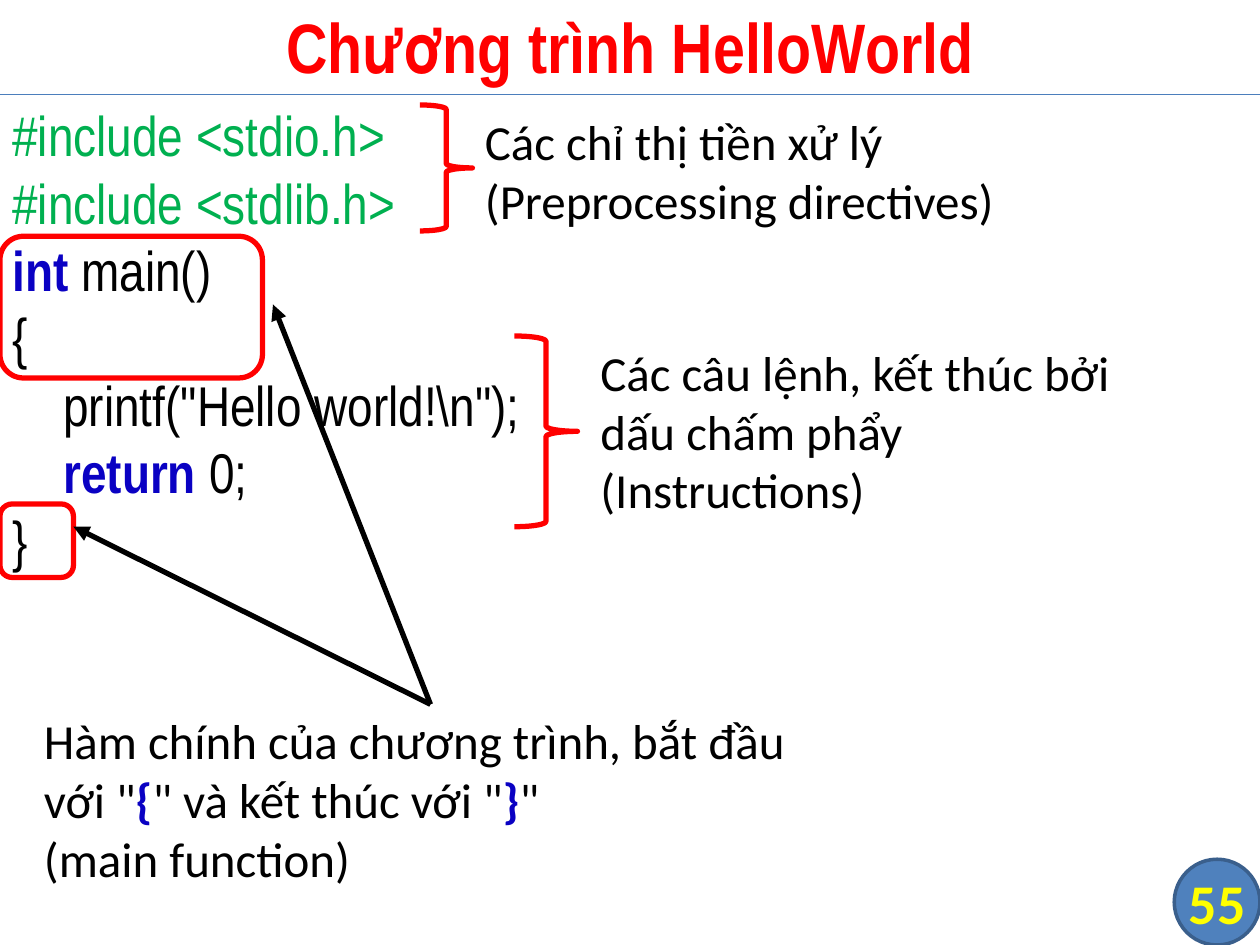
import pptx
import pptx.util
import pptx.dml.color
import pptx.enum.shapes
import pptx.enum.text
import pptx.oxml.ns
import lxml.etree

Pt = pptx.util.Pt
SHAPES = pptx.enum.shapes.MSO_SHAPE
CENTER = pptx.enum.text.PP_ALIGN.CENTER
MIDDLE = pptx.enum.text.MSO_ANCHOR.MIDDLE

COLORS = {
    "title": "FF0000",
    "mark": "FF0000",
    "directive": "00B050",
    "keyword": "0A01C3",
    "text": "000000",
    "rule": "4B7EBC",
    "badge": "4F81BD",
    "badge_edge": "3A5F8C",
    "page": "FFFF00",
}

CODE = [
    (0, [("#include <stdio.h>", "directive")]),
    (0, [("#include <stdlib.h>", "directive")]),
    (0, [("int ", "keyword"), ("main()", "text")]),
    (0, [("{", "text")]),
    (29.2, [('printf("Hello world!\\n");', "text")]),
    (29.2, [("return", "keyword"), (" 0;", "text")]),
    (0, [("}", "text")]),
]

NOTES = [
    ((270, 60, 342, 75), [
        [("Các chỉ thị tiền xử lý", "text")],
        [("(Preprocessing directives)", "text")],
    ]),
    ((336, 192, 342, 109), [
        [("Các câu lệnh, kết thúc bởi dấu chấm phẩy", "text")],
        [("(Instructions)", "text")],
    ]),
    ((18, 402.5, 456, 113), [
        [('Hàm chính của chương trình, bắt đầu với "', "text"), ("{", "keyword"),
         ('" và kết thúc với "', "text"), ("}", "keyword"), ('"', "text")],
        [("(main function)", "text")],
    ]),
]

MARKS = [
    (SHAPES.RIGHT_BRACE, (240, 60, 30, 72)),
    (SHAPES.RIGHT_BRACE, (294, 192, 36, 109)),
    (SHAPES.ROUNDED_RECTANGLE, (0, 135, 150, 81)),
    (SHAPES.ROUNDED_RECTANGLE, (0, 288, 42, 42)),
]


def rgb(name):
    return pptx.dml.color.RGBColor.from_string(COLORS[name])


def add_text(slide, box, lines, font, size, bold=False, align=None, anchor=None, inset=None):
    frame = slide.shapes.add_textbox(*map(Pt, box)).text_frame
    frame.word_wrap = True
    if anchor is not None:
        frame.vertical_anchor = anchor
    if inset is not None:
        frame.margin_left = frame.margin_right = Pt(inset)
        frame.margin_top = frame.margin_bottom = Pt(inset)
    for index, parts in enumerate(lines):
        line = frame.add_paragraph() if index else frame.paragraphs[0]
        line.font.name = font
        line.font.size = Pt(size)
        line.font.bold = bold
        line.alignment = align
        for words, color in parts:
            run = line.add_run()
            run.text = words
            run.font.color.rgb = rgb(color)
            if color == "keyword":
                run.font.bold = True
    return frame


def add_code(slide):
    frame = add_text(slide, (0, 54, 720, 486), [parts for _, parts in CODE], "Arial Narrow", 32)
    for line, (indent, _) in zip(frame.paragraphs, CODE):
        line.line_spacing = Pt(38.5)
        if indent:
            line._p.get_or_add_pPr().set("marL", str(Pt(indent)))


def add_outline(slide, kind, box, edge, width, fill=None):
    outline = slide.shapes.add_shape(kind, *map(Pt, box))
    outline.shadow.inherit = False
    if fill:
        outline.fill.solid()
        outline.fill.fore_color.rgb = rgb(fill)
    else:
        outline.fill.background()
    outline.line.color.rgb = rgb(edge)
    outline.line.width = Pt(width)


def add_line(slide, start, end, color, width, arrow=False):
    line = slide.shapes.add_connector(
        pptx.enum.shapes.MSO_CONNECTOR.STRAIGHT, *map(Pt, start + end))
    line.line.color.rgb = rgb(color)
    line.line.width = Pt(width)
    qn = pptx.oxml.ns.qn
    if arrow:
        lxml.etree.SubElement(line.line._get_or_add_ln(), qn("a:tailEnd"), type="triangle")
    lxml.etree.SubElement(line._element.spPr, qn("a:effectLst"))


def main():
    deck = pptx.Presentation()
    deck.slide_width, deck.slide_height = Pt(720), Pt(540)
    slide = deck.slides.add_slide(deck.slide_layouts[6])

    badge = (671, 491, 49, 49)
    add_outline(slide, SHAPES.FLOWCHART_CONNECTOR, badge, "badge_edge", 2, "badge")
    add_line(slide, (0, 54), (720, 54), "rule", 0.75)
    add_code(slide)
    add_text(slide, (0, -2, 720, 56), [[("Chương trình HelloWorld", "title")]],
             "Arial Narrow", 40, True, CENTER, MIDDLE)
    add_text(slide, badge, [[("55", "page")]], "Calibri", 32, True, CENTER, MIDDLE, 0)

    for kind, box in MARKS:
        add_outline(slide, kind, box, "mark", 3)
    for box, lines in NOTES:
        add_text(slide, box, lines, "Calibri", 28)
    for target in [(156, 174), (42, 301)]:
        add_line(slide, (246, 402.5), target, "text", 3, arrow=True)

    deck.save("out.pptx")


if __name__ == "__main__":
    main()
